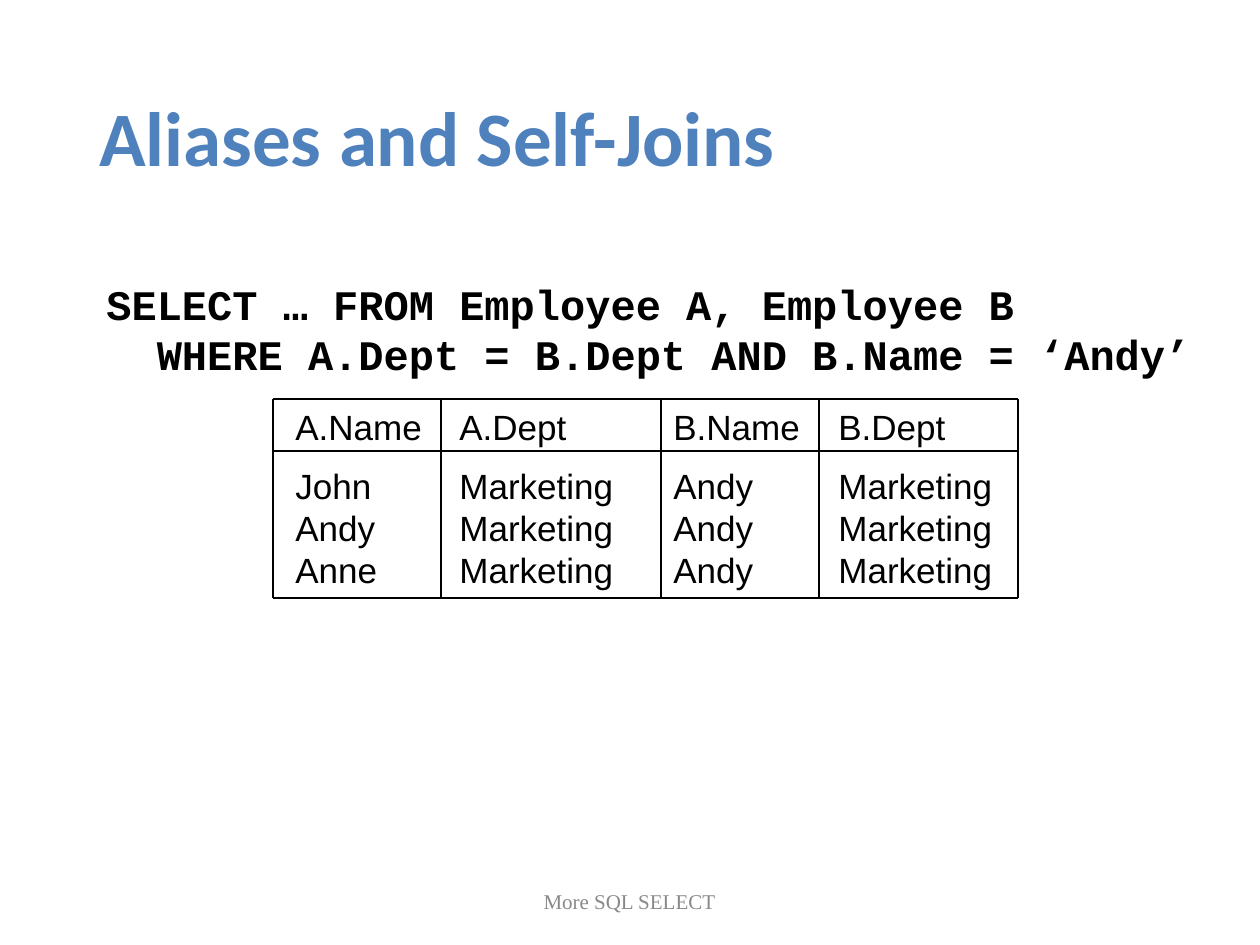
from lxml.etree import SubElement
from pptx import Presentation
from pptx.dml.color import RGBColor
from pptx.enum.shapes import MSO_CONNECTOR as Connector
from pptx.enum.text import MSO_ANCHOR as Anchor, PP_ALIGN as Align
from pptx.oxml.ns import qn
from pptx.util import Emu, Pt

BLUE = RGBColor(0x4F, 0x81, 0xBD)
GRAY = RGBColor(0x89, 0x89, 0x89)
BLACK = RGBColor(0, 0, 0)
SCALE = 914400 // 126

TITLE = ["Aliases and Self-Joins"]
QUERY = ["SELECT … FROM Employee A, Employee B",
         "  WHERE A.Dept = B.Dept AND B.Name = ‘Andy’"]
FOOTER = ["More SQL SELECT"]
ROWS = [
    ("A.Name", "A.Dept", "B.Name", "B.Dept"),
    ("John", "Marketing", "Andy", "Marketing"),
    ("Andy", "Marketing", "Andy", "Marketing"),
    ("Anne", "Marketing", "Andy", "Marketing"),
]
COLUMN_EDGES = [273, 441, 661, 819, 1018]
ROW_EDGES = [399, 451, 598]
TAB_STOPS = [164, 378, 543]


def px(value):
    return Emu(value * SCALE)


def add_text(page, lines, place, look, anchor, spacing, align=Align.LEFT, wrap=True):
    box = page.shapes.add_textbox(*map(px, place))
    frame = box.text_frame
    frame.word_wrap = wrap
    frame.vertical_anchor = anchor
    frame.text = "\n".join(lines)
    font, size, color, bold = look
    for para in frame.paragraphs:
        para.alignment = align
        para.line_spacing = spacing
        for span in para.runs:
            span.font.name = font
            span.font.size = Pt(size)
            span.font.color.rgb = color
            span.font.bold = bold
    return frame.paragraphs


def add_rule(page, start, end):
    rule = page.shapes.add_connector(Connector.STRAIGHT, *map(px, start + end))
    rule.line.color.rgb = BLACK
    rule.line.width = Pt(1.5)
    SubElement(rule._element.spPr, qn("a:effectLst"))


def add_join_result(page):
    left, right = COLUMN_EDGES[0], COLUMN_EDGES[-1]
    top, bottom = ROW_EDGES[0], ROW_EDGES[-1]
    paras = add_text(page, ["\t".join(row) for row in ROWS], (283, top, 722, 198),
                     ("Arial", 20, BLACK, False), Anchor.TOP, Pt(24))
    paras[0].space_after = Pt(10)
    for para in paras:
        stops = SubElement(para._p.get_or_add_pPr(), qn("a:tabLst"))
        for stop in TAB_STOPS:
            SubElement(stops, qn("a:tab"), pos=str(px(stop)), algn="l")
    for x in COLUMN_EDGES:
        add_rule(page, (x, top), (x, bottom))
    for y in ROW_EDGES:
        add_rule(page, (left, y), (right, y))


def main():
    deck = Presentation()
    deck.slide_width, deck.slide_height = px(1260), px(945)
    page = deck.slides.add_slide(deck.slide_layouts[6])
    add_text(page, TITLE, (87, 50, 1087, 183), ("Calibri", 44, BLUE, True),
             Anchor.MIDDLE, 0.9)
    add_text(page, FOOTER, (417, 876, 425, 50), ("Times New Roman", 12, GRAY, False),
             Anchor.MIDDLE, 1.0, Align.CENTER)
    add_join_result(page)
    add_text(page, QUERY, (94, 272, 1109, 113), ("Courier New", 24, BLACK, True),
             Anchor.TOP, Pt(28.8), wrap=False)
    deck.save("out.pptx")


if __name__ == "__main__":
    main()
